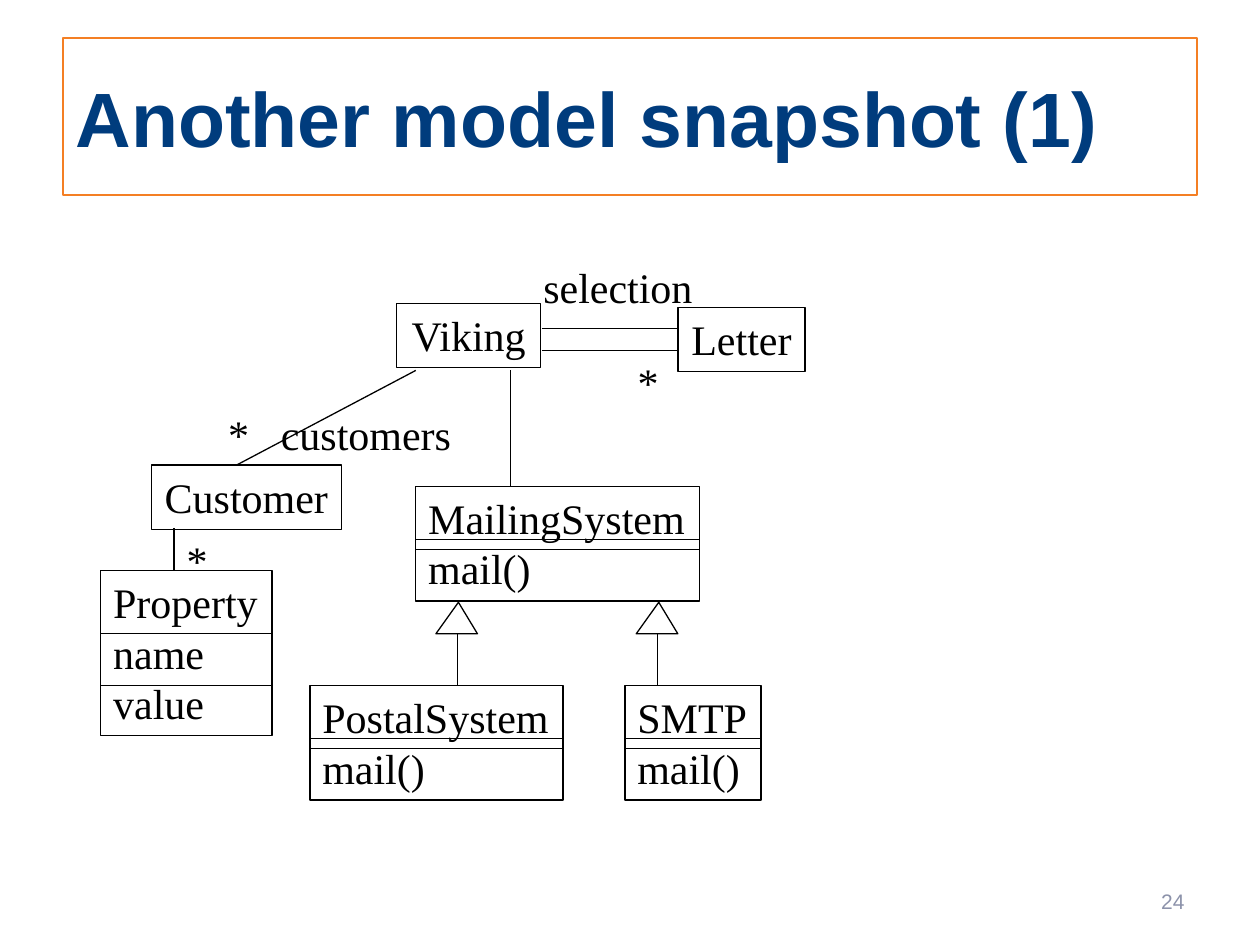
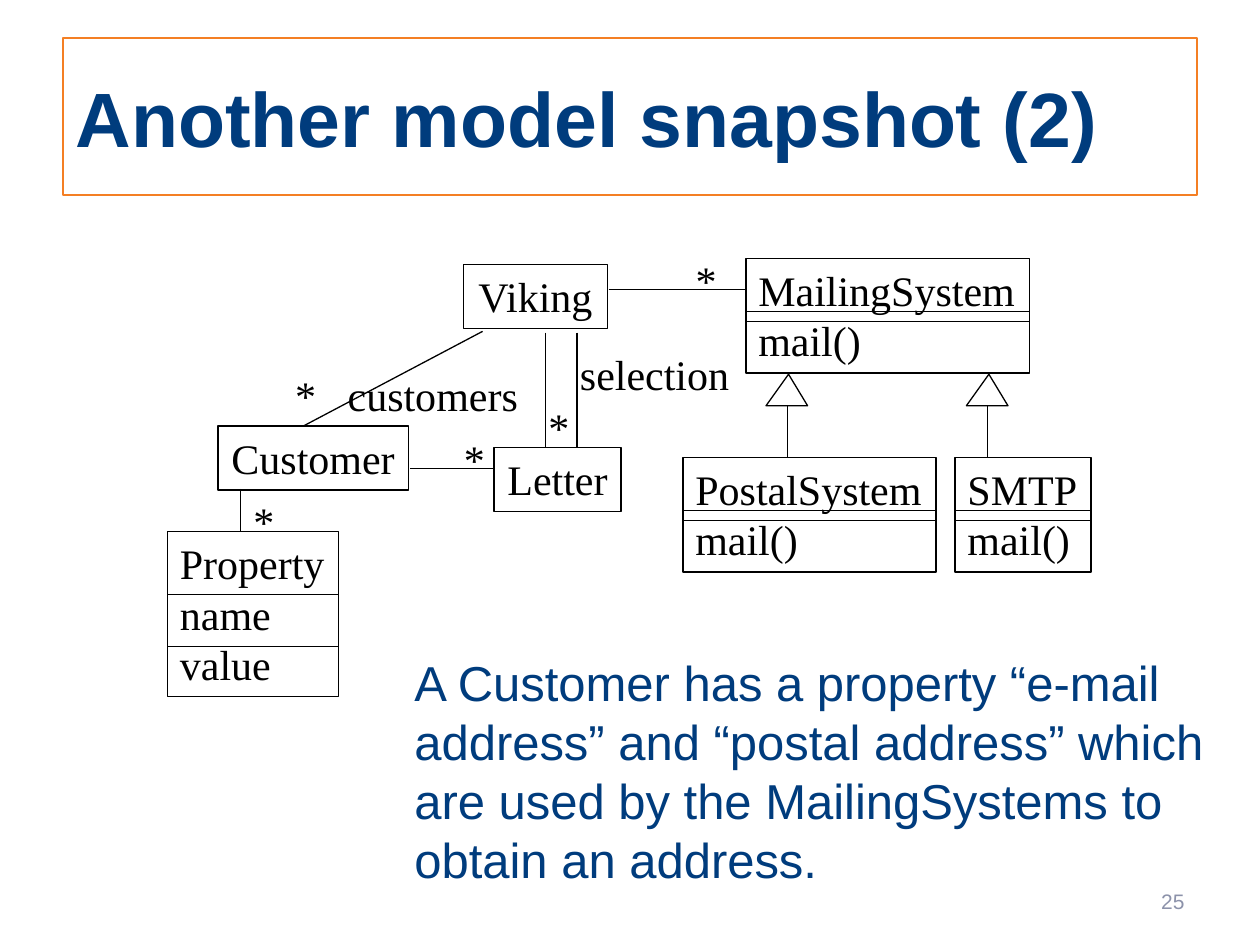
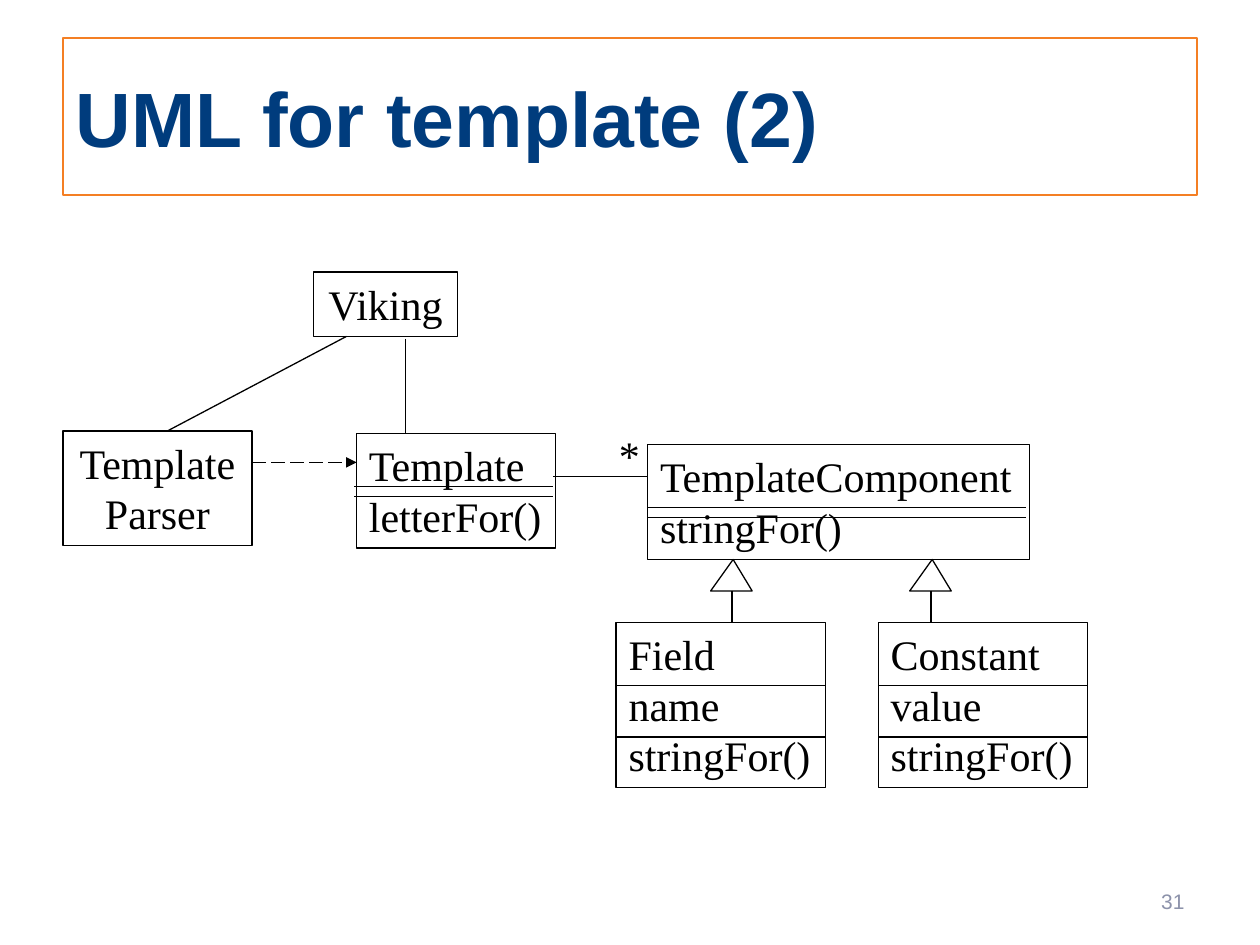
from lxml import etree
from pptx import Presentation
from pptx.dml.color import RGBColor
from pptx.enum.dml import MSO_LINE
from pptx.enum.shapes import MSO_CONNECTOR, MSO_SHAPE
from pptx.enum.text import MSO_ANCHOR, MSO_AUTO_SIZE, PP_ALIGN
from pptx.oxml.ns import qn
from pptx.util import Inches, Pt

COLORS = {"navy": "003C7D", "orange": "F47F24", "gray": "8C92AA", "black": "000000"}
SANS, SERIF = "Arial", "Times New Roman"
LINE_H, BOX_H = 0.4, 0.51
RULES = {1: (), 2: (0.42, 0.5), 3: (0.5, 0.91)}
VIKING_W, LETTER_W = 1.14, 1.01


def rgb(name):
    return RGBColor.from_string(COLORS[name])


def box_at(x, y, w, h):
    return Inches(x), Inches(y), Inches(w), Inches(h)


def set_text(shape, text, size=24, font=SERIF, color="black", align=PP_ALIGN.CENTER,
             anchor=MSO_ANCHOR.TOP, bold=False, wrap=False, grow=True):
    tf = shape.text_frame
    tf.text = text
    tf.word_wrap = wrap
    tf.auto_size = MSO_AUTO_SIZE.SHAPE_TO_FIT_TEXT if grow else MSO_AUTO_SIZE.NONE
    tf.vertical_anchor = anchor
    for p in tf.paragraphs:
        p.alignment = align
        for r in p.runs:
            r.font.size = Pt(size)
            r.font.name = font
            r.font.bold = bold
            r.font.color.rgb = rgb(color)


def set_line(shape, color="black", width=0.75):
    shape.line.color.rgb = rgb(color)
    shape.line.width = Pt(width)


def add_slide(prs, title, number):
    s = prs.slides.add_slide(prs.slide_layouts[5])
    sp = s.shapes.title
    sp.left, sp.top, sp.width, sp.height = box_at(0.5, 0.3, 9, 1.25)
    set_line(sp, "orange", 1)
    set_text(sp, title, 44, SANS, "navy", PP_ALIGN.LEFT, MSO_ANCHOR.MIDDLE,
             bold=True, wrap=True, grow=False)
    sp = s.shapes.add_textbox(*box_at(7.17, 6.95, 2.33, 0.4))
    set_text(sp, str(number), 12, SANS, "gray", PP_ALIGN.RIGHT, MSO_ANCHOR.MIDDLE,
             wrap=True, grow=False)
    return s


def add_line(s, x1, y1, x2, y2):
    line = s.shapes.add_connector(MSO_CONNECTOR.STRAIGHT, Inches(x1), Inches(y1),
                                  Inches(x2), Inches(y2))
    set_line(line)
    etree.SubElement(line._element.spPr, qn("a:effectLst"))
    return line


def add_dependency(s, x1, y1, x2, y2):
    line = add_line(s, x1, y1, x2, y2)
    line.line.width = Pt(1)
    line.line.dash_style = MSO_LINE.LONG_DASH
    etree.SubElement(line.line._get_or_add_ln(), qn("a:tailEnd"), type="triangle")


def add_outline(s, preset, x, y, w, h):
    sp = s.shapes.add_shape(preset, *box_at(x, y, w, h))
    sp.shadow.inherit = False
    sp.fill.background()
    set_line(sp)
    return sp


def add_class(s, x, y, w, *members, rules=None, rule_dx=0, rule_w=None):
    n = len(members)
    sp = add_outline(s, MSO_SHAPE.RECTANGLE, x, y, w, BOX_H + LINE_H * (n - 1))
    set_text(sp, "\n".join(members), align=PP_ALIGN.CENTER if n == 1 else PP_ALIGN.LEFT)
    for dy in rules or RULES[n]:
        add_line(s, x + rule_dx, y + dy, x + rule_dx + (rule_w or w), y + dy)


def add_label(s, x, y, text="*", w=0.37):
    set_text(s.shapes.add_textbox(*box_at(x, y, w, 0.5)), text)


def add_generalization(s, x, y, child_y):
    sp = add_outline(s, MSO_SHAPE.ISOSCELES_TRIANGLE, x, y, 0.33, 0.25)
    sp.adjustments[0] = 0.542
    add_line(s, x + 0.17, y + 0.25, x + 0.17, child_y)


def add_customer_part(s, x, y):
    add_class(s, x, y, 1.51, "Customer")
    add_class(s, x + 1.95, y - 1.28, VIKING_W, "Viking")
    add_line(s, x + 2.1, y - 0.75, x + 0.68, y)
    add_label(s, x + 0.93, y - 0.5, "customers", 1.55)
    add_label(s, x + 0.51, y - 0.5)
    add_class(s, x - 0.4, y + 0.84, 1.36, "Property", "name", "value")
    add_line(s, x + 0.18, y + 0.5, x + 0.18, y + 0.84)
    add_label(s, x + 0.18, y + 0.5)


def add_mailing_part(s, x, y, postal_x, smtp_x):
    child_y = y + 1.58
    add_class(s, x, y, 2.25, "MailingSystem", "mail()")
    add_class(s, postal_x, child_y, 2.01, "PostalSystem", "mail()")
    add_class(s, smtp_x, child_y, 1.08, "SMTP", "mail()")
    for dx in (0.16, 1.75):
        add_generalization(s, x + dx, y + 0.92, child_y)


def build_snapshot_1(prs):
    s = add_slide(prs, "Another model snapshot (1)", 24)
    add_customer_part(s, 1.2, 3.69)
    add_mailing_part(s, 3.3, 3.86, 2.46, 4.96)
    add_line(s, 4.05, 2.94, 4.05, 3.86)
    add_class(s, 5.38, 2.44, LETTER_W, "Letter")
    for y in (2.61, 2.78):
        add_line(s, 4.3, y, 5.38, y)
    add_label(s, 4.21, 2.03, "selection", 1.39)
    add_label(s, 4.96, 2.78)


def build_snapshot_2(prs):
    s = add_slide(prs, "Another model snapshot (2)", 25)
    sp = s.shapes.add_textbox(*box_at(3.19, 5.13, 6.58, 1.99))
    set_text(sp, "A Customer has a property “e-mail address” and “postal address” "
             "which are used by the MailingSystems to obtain an address.",
             28, SANS, "navy", PP_ALIGN.LEFT, wrap=True)
    add_customer_part(s, 1.73, 3.38)
    add_mailing_part(s, 5.92, 2.05, 5.42, 7.58)
    add_line(s, 4.83, 2.3, 5.92, 2.3)
    add_label(s, 5.42, 1.97)
    add_class(s, 3.92, 3.55, LETTER_W, "Letter")
    for x in (4.33, 4.58):
        add_line(s, x, 2.64, x, 3.55)
    add_label(s, 4.5, 2.72, "selection", 1.39)
    add_label(s, 4.25, 3.14)
    add_line(s, 3.92, 3.72, 3.25, 3.72)
    add_label(s, 3.58, 3.39)


def build_template_uml(prs):
    s = add_slide(prs, "UML for template (2)", 31)
    sp = add_outline(s, MSO_SHAPE.RECTANGLE, 0.5, 3.42, 1.5, 0.91)
    set_text(sp, "Template\vParser", wrap=True)
    add_dependency(s, 2, 3.67, 2.83, 3.67)
    add_class(s, 2.49, 2.16, VIKING_W, "Viking")
    add_line(s, 2.75, 2.67, 1.33, 3.42)
    add_line(s, 3.22, 2.69, 3.22, 3.44)
    add_class(s, 2.83, 3.44, 1.58, "Template", "letterFor()", rule_dx=-0.02)
    add_line(s, 5.14, 3.78, 4.39, 3.78)
    add_label(s, 4.81, 3.36)
    add_class(s, 5.14, 3.53, 3.03, "TemplateComponent", "stringFor()",
              rules=(0.5, 0.58), rule_w=3)
    add_class(s, 4.89, 4.94, 1.66, "Field", "name", "stringFor()")
    add_class(s, 6.97, 4.94, 1.66, "Constant", "value", "stringFor()")
    for x in (5.64, 7.22):
        add_generalization(s, x, 4.44, 4.94)


def main():
    prs = Presentation()
    prs.slide_width, prs.slide_height = Inches(10), Inches(7.5)
    build_snapshot_1(prs)
    build_snapshot_2(prs)
    build_template_uml(prs)
    prs.save("out.pptx")


main()
